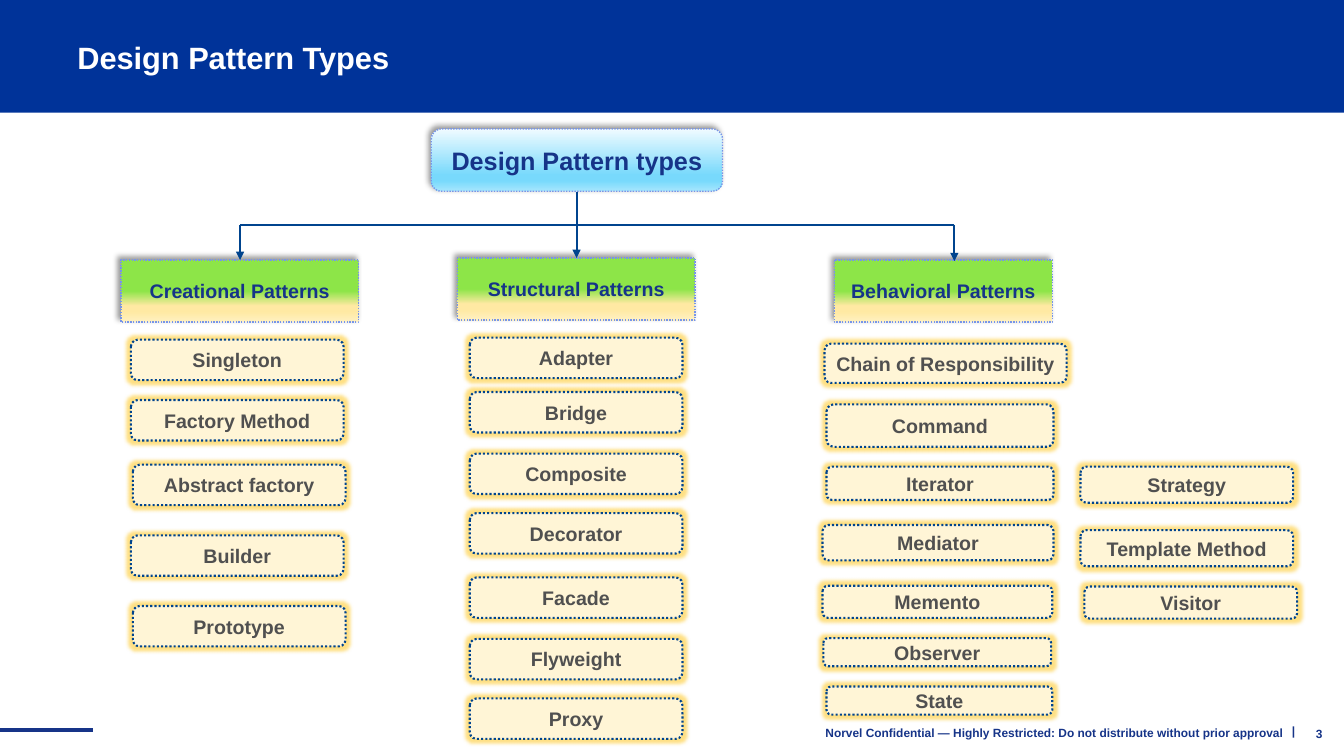
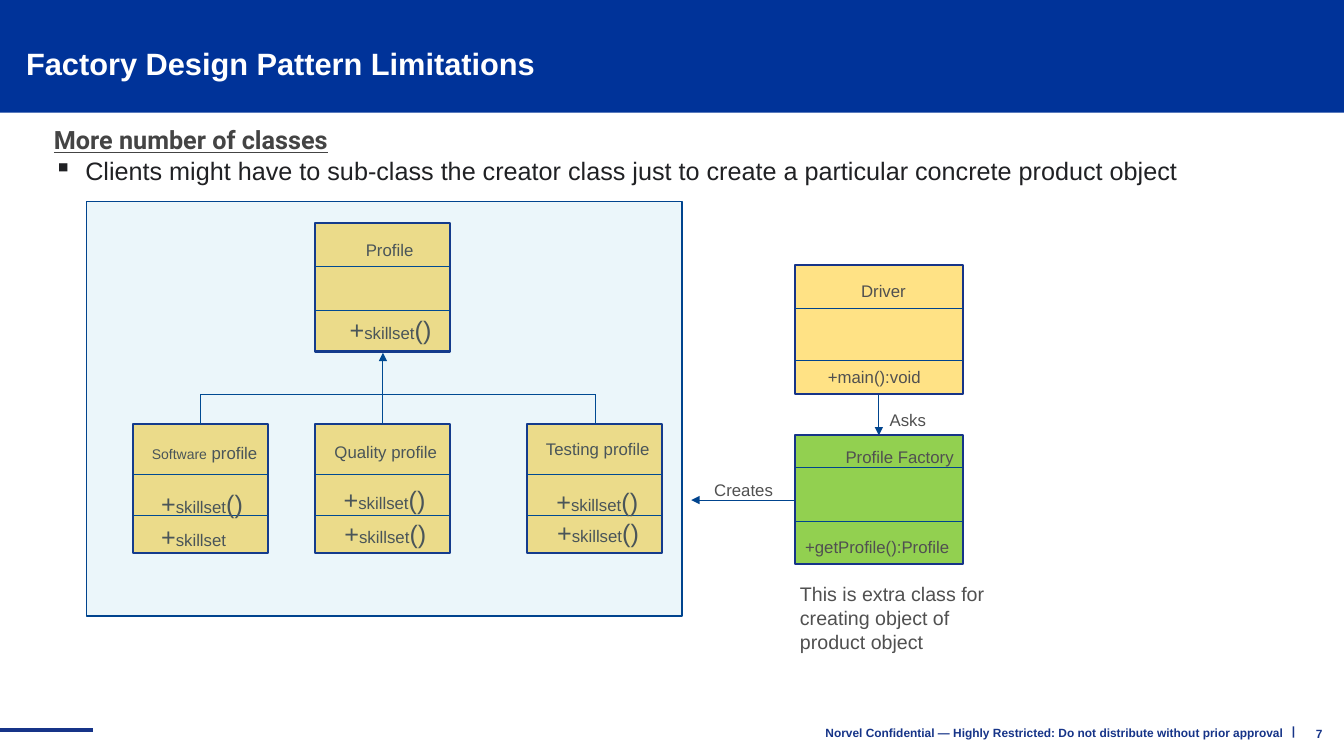
from lxml.etree import SubElement
from pptx import Presentation
from pptx.dml.color import RGBColor
from pptx.enum.dml import MSO_LINE
from pptx.enum.shapes import MSO_CONNECTOR, MSO_SHAPE
from pptx.enum.text import MSO_ANCHOR, PP_ALIGN
from pptx.oxml.ns import qn
from pptx.util import Cm, Pt

BLUE = RGBColor(0x00, 0x33, 0x99)
NAVY = RGBColor(0x16, 0x34, 0x88)
STEEL = RGBColor(0x00, 0x44, 0x8E)
EDGE = RGBColor(0x77, 0x95, 0xE9)
WHITE = RGBColor(0xFF, 0xFF, 0xFF)
GREY = RGBColor(0x50, 0x50, 0x50)
DARK = RGBColor(0x44, 0x44, 0x44)
INK = RGBColor(0x20, 0x21, 0x24)
CREAM = RGBColor(0xFF, 0xF5, 0xD6)
SAND = RGBColor(0xFF, 0xE2, 0x85)
GREEN = RGBColor(0x92, 0xD0, 0x50)
AQUA = RGBColor(0x04, 0x91, 0xC6)
SKY = [(0, "F0FBFF"), (74, "78D9FC"), (83, "78D9FC"), (100, "A5E6FD")]
LIME = [(50, "8DE548"), (74, "FFE9A3"), (83, "FFE9A3"), (100, "FFF1C2")]

LEFT, MID, RIGHT = PP_ALIGN.LEFT, PP_ALIGN.CENTER, PP_ALIGN.RIGHT
RECT, ROUND = MSO_SHAPE.RECTANGLE, MSO_SHAPE.ROUNDED_RECTANGLE
PLAIN = {"name": "Arial", "size": Pt(12), "bold": False}
NOTE = PLAIN | {"size": Pt(14)}
CARD = NOTE | {"bold": True}
ROOT = CARD | {"size": Pt(18)}
HEAD = CARD | {"size": Pt(22)}
FOOT = CARD | {"size": Pt(8.5)}


def put(page, at, *rows, kind=None, fill=None, edge=None, wide=1.5,
        look=PLAIN, hue=GREY, align=LEFT, anchor=MSO_ANCHOR.TOP, wrap=True):
    """Add a shape, or a text box if no kind is given; a row is a string or (text, points) pairs."""
    place = [Cm(n) for n in at]
    if kind is None:
        box = page.shapes.add_textbox(*place)
    else:
        box = page.shapes.add_shape(kind, *place)
        box.shadow.inherit = False
        if fill is not None:
            box.fill.solid()
            box.fill.fore_color.rgb = fill
        if edge is None:
            box.line.fill.background()
        else:
            box.line.color.rgb = edge
            box.line.width = Pt(wide)
    frame = box.text_frame
    frame.word_wrap = wrap
    frame.vertical_anchor = anchor
    for i, row in enumerate(rows):
        para = frame.add_paragraph() if i else frame.paragraphs[0]
        para.alignment = align
        for word, size in ([(row, None)] if isinstance(row, str) else row):
            run = para.add_run()
            run.text = word
            for key, val in look.items():
                setattr(run.font, key, val)
            run.font.color.rgb = hue
            if size:
                run.font.size = Pt(size)
    return box


def link(page, x1, y1, x2, y2, wide=0.75, hue=STEEL, arrow=False):
    """Draw a straight line, with an arrowhead at its end if asked."""
    wire = page.shapes.add_connector(MSO_CONNECTOR.STRAIGHT, Cm(x1), Cm(y1), Cm(x2), Cm(y2))
    wire.line.color.rgb = hue
    wire.line.width = Pt(wide)
    prop = wire.element.find(qn("p:spPr"))
    if arrow:
        SubElement(prop.find(qn("a:ln")), qn("a:tailEnd"), type="triangle")
    SubElement(prop, qn("a:effectLst"))


deck = Presentation()
deck.slide_width, deck.slide_height = Cm(33.87), Cm(19.05)

# Title band and footer, the same on each slide
pages = []
for title, at, num in [
    ("Design Pattern Types", (1.7, 0.71, 29.85, 1.57), "3"),
    ("Factory Design Pattern Limitations", (0.41, 0.86, 14.1, 1.57), "7"),
]:
    page = deck.slides.add_slide(deck.slide_layouts[6])
    put(page, (0, 0, 33.87, 2.84), kind=RECT, fill=BLUE)
    link(page, 0, 18.39, 2.34, 18.39, wide=3, hue=NAVY)
    head = put(page, at, title, look=HEAD, hue=WHITE, anchor=MSO_ANCHOR.MIDDLE)
    head.text_frame.paragraphs[0].line_spacing = 0.9
    for text, spot, align in [
        ("|", (32.28, 17.91, 0.64, 1.02), MID),
        ("Norvel Confidential — Highly Restricted: Do not distribute without prior approval",
         (15.85, 17.98, 16.74, 0.99), RIGHT),
        (num, (31.98, 17.98, 1.6, 1.02), RIGHT),
    ]:
        put(page, spot, text, look=FOOT, hue=NAVY, align=align, anchor=MSO_ANCHOR.MIDDLE)
    pages.append(page)
types, limits = pages

# Pattern tree: root and three groups
for text, at, kind, look, stops in [
    ("Design Pattern types", (10.87, 3.25, 7.34, 1.57), ROUND, ROOT, SKY),
    ("Creational Patterns", (3.05, 6.55, 5.99, 1.57), RECT, CARD, LIME),
    ("Structural Patterns", (11.53, 6.5, 5.99, 1.57), RECT, CARD, LIME),
    ("Behavioral Patterns", (21.03, 6.55, 5.49, 1.57), RECT, CARD, LIME),
]:
    box = put(types, at, text, kind=kind, edge=EDGE, wide=1, look=look, hue=NAVY,
              align=MID, anchor=MSO_ANCHOR.MIDDLE)
    box.line.dash_style = MSO_LINE.ROUND_DOT
    box.fill.gradient()
    box.fill.gradient_angle = 270
    prop = box.element.spPr
    ramp = prop.find(qn("a:gradFill")).find(qn("a:gsLst"))
    for stop in list(ramp):
        ramp.remove(stop)
    for pos, tint in stops:
        stop = SubElement(ramp, qn("a:gs"), pos=str(pos * 1000))
        SubElement(stop, qn("a:srgbClr"), val=tint)
    shade = SubElement(prop.find(qn("a:effectLst")), qn("a:outerShdw"), blurRad=str(Pt(4)),
                       dist=str(Pt(3)), dir="13500000", algn="br", rotWithShape="0")
    tone = SubElement(shade, qn("a:srgbClr"), val="000000")
    SubElement(tone, qn("a:alpha"), val="40000")

link(types, 6.05, 5.66, 24.05, 5.66, wide=1.5)
for x, top, end in [(14.53, 4.83, 6.5), (6.05, 5.66, 6.55), (24.05, 5.66, 6.58)]:
    link(types, x, top, x, end, wide=1.5, arrow=True)

# Pattern cards: name, left, top, width, height
cards = [(name, x, y, 5.36, 1.02) for name, x, y in [
    ("Singleton", 3.3, 8.56),
    ("Factory Method", 3.3, 10.08),
    ("Abstract factory", 3.35, 11.71),
    ("Builder", 3.3, 13.49),
    ("Prototype", 3.35, 15.27),
    ("Adapter", 11.84, 8.51),
    ("Bridge", 11.84, 9.88),
    ("Composite", 11.84, 11.43),
    ("Decorator", 11.84, 12.93),
    ("Facade", 11.84, 14.55),
    ("Flyweight", 11.84, 16.1),
    ("Proxy", 11.84, 17.6),
]] + [
    ("Chain of Responsibility", 20.78, 8.66, 6.1, 0.99),
    ("Command", 20.83, 10.19, 5.72, 1.07),
    ("Iterator", 20.83, 11.76, 5.72, 0.84),
    ("Mediator", 20.73, 13.23, 5.82, 0.89),
    ("Memento", 20.73, 14.76, 5.79, 0.81),
    ("Observer", 20.75, 16.08, 5.74, 0.71),
    ("State", 20.83, 17.3, 5.69, 0.71),
    ("Strategy", 27.23, 11.76, 5.36, 0.91),
    ("Template Method", 27.23, 13.36, 5.36, 0.91),
    ("Visitor", 27.33, 14.78, 5.36, 0.81),
]
for name, *at in cards:
    card = put(types, at, name, kind=ROUND, fill=CREAM, edge=STEEL, look=CARD,
               align=MID, anchor=MSO_ANCHOR.MIDDLE, wrap=False)
    card.line.dash_style = MSO_LINE.ROUND_DOT
    glow = SubElement(card.element.spPr.find(qn("a:effectLst")), qn("a:glow"), rad=str(Pt(5)))
    tone = SubElement(glow, qn("a:srgbClr"), val="FFCC33")
    SubElement(tone, qn("a:alpha"), val="60000")

# Limitation text
body = put(limits, (1.11, 3.02, 30.86, 1.8), "More number of classes",
           "Clients might have to sub-class the creator class just to create "
           "a particular concrete product object",
           look=PLAIN | {"size": Pt(18)}, hue=INK)
lead, point = body.text_frame.paragraphs
font = lead.runs[0].font
for key, val in {"name": "Roboto", "bold": True, "underline": True}.items():
    setattr(font, key, val)
font.color.rgb = DARK
prop = point._p.get_or_add_pPr()
prop.set("marL", str(Cm(0.79)))
prop.set("indent", str(-Cm(0.79)))
SubElement(prop, qn("a:buChar"), char="▪")

# Class boxes: left, top, width, fill, offsets of the two dividers
for x, y, w, fill, cuts in [
    (3.35, 10.69, 3.4, SAND, (1.27, 2.31)),
    (7.95, 10.69, 3.4, SAND, (1.27, 2.31)),
    (13.28, 10.69, 3.4, SAND, (1.27, 2.31)),
    (7.95, 5.61, 3.4, SAND, (1.1, 2.21)),
    (20.04, 6.68, 4.22, SAND, (1.1, 2.4)),
    (20.04, 10.97, 4.22, GREEN, (0.81, 2.17)),
]:
    put(limits, (x, y, w, 3.25), kind=RECT, fill=fill, edge=NAVY)
    for cut in cuts:
        link(limits, x, y + cut, x + w, y + cut)

# Labels: text, left, top, width, alignment
for text, x, y, w, align in [
    ([("Software", 10), (" profile", 12)], 3.58, 11.02, 3.4, LEFT),
    ("Quality profile", 8.18, 11, 3.23, LEFT),
    ("Testing profile", 13.51, 10.92, 3.35, LEFT),
    ("Profile", 8.97, 5.92, 2, LEFT),
    ("Driver", 20.27, 6.96, 3.99, MID),
    ("+main():void", 20.04, 9.12, 3.99, MID),
    ("Asks", 22.17, 10.19, 1.98, LEFT),
    ("Profile Factory", 21.06, 11.13, 3.6, LEFT),
    ("+getProfile():Profile", 20.04, 13.39, 4.52, LEFT),
    ("Creates", 17.75, 11.96, 2.95, LEFT),
]:
    put(limits, (x, y, w, 0.76), text, align=align)

skill = [("+", 18), ("skillset", 12), ("()", 18)]
for x, y, row in [
    (3.81, 12.17, skill), (3.81, 13, skill[:2]),
    (8.41, 12.07, skill), (8.43, 12.93, skill),
    (13.77, 12.12, skill), (13.79, 12.9, skill),
    (8.56, 7.8, skill),
]:
    put(limits, (x, y, 2.95, 0.81), row)
put(limits, (19.91, 14.55, 5.16, 2.06),
    "This is extra class for creating object of product object", look=NOTE)

# Inheritance lines and calls
link(limits, 5.05, 9.93, 15, 9.93)
for x in (5.05, 15):
    link(limits, x, 9.93, x, 10.69)
for ends in [(9.65, 10.69, 9.65, 8.89), (22.15, 9.96, 22.15, 10.97), (20.04, 12.6, 17.42, 12.6)]:
    link(limits, *ends, arrow=True)

# Tinted pane over the profile classes
pane = put(limits, (2.18, 5.08, 15.01, 10.44), kind=RECT, fill=AQUA, edge=STEEL, wide=1)
tone = pane.element.spPr.find(qn("a:solidFill"))[0]
SubElement(tone, qn("a:alpha"), val="8000")

deck.save("out.pptx")
